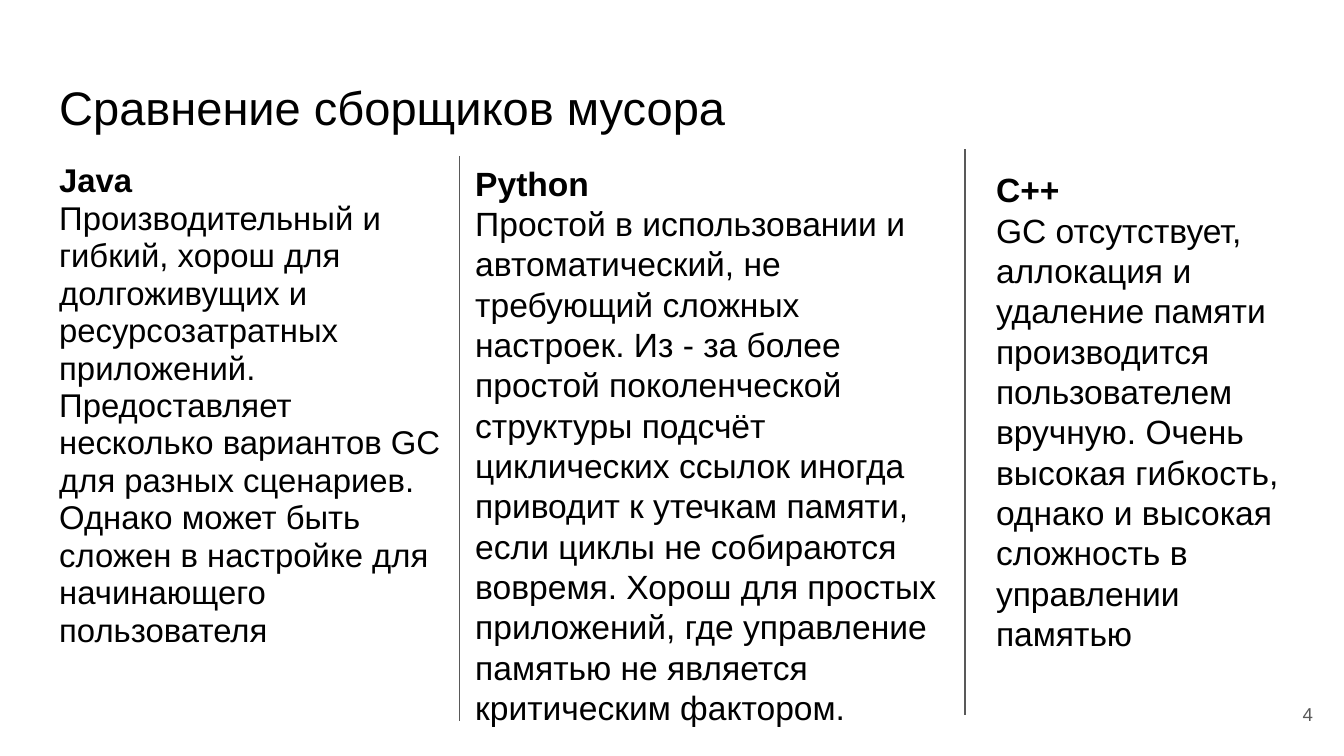
from dataclasses import dataclass

from lxml import etree
from pptx import Presentation
from pptx.dml.color import RGBColor
from pptx.enum.shapes import MSO_CONNECTOR
from pptx.enum.text import MSO_ANCHOR, MSO_AUTO_SIZE, PP_ALIGN
from pptx.oxml.ns import qn
from pptx.util import Pt

TOP, MIDDLE = MSO_ANCHOR.TOP, MSO_ANCHOR.MIDDLE
LEFT, RIGHT = PP_ALIGN.LEFT, PP_ALIGN.RIGHT
NO_FIT = MSO_AUTO_SIZE.NONE
STRAIGHT = MSO_CONNECTOR.STRAIGHT

FONT = "Arial"
COLORS = {"text": "000000", "muted": "595959"}
INSET = 7.2


@dataclass
class Box:
    left: float
    top: float
    width: float
    height: float


@dataclass
class Column:
    box: Box
    name: str
    body: str
    size: float = 18
    spacing: float = 1.0
    split: bool = False  # name in a paragraph of its own
    main: bool = False  # uses the body placeholder


@dataclass
class Rule:
    x: float
    top: float
    height: float = 303


COLUMNS = [
    Column(
        Box(24.5, 80, 223, 318), "Java",
        "Производительный и гибкий, хорош для долгоживущих и ресурсозатратных "
        "приложений. Предоставляет несколько вариантов GC для разных сценариев. "
        "Однако может быть сложен в настройке для начинающего пользователя",
        size=17.6, spacing=0.95, main=True,
    ),
    Column(
        Box(247.5, 80, 269.5, 318), "Python",
        "Простой в использовании и автоматический, не требующий сложных настроек. "
        "Из - за более простой поколенческой структуры подсчёт циклических ссылок "
        "иногда приводит к утечкам памяти, если циклы не собираются вовремя. "
        "Хорош для простых приложений, где управление памятью не является "
        "критическим фактором.",
        split=True,
    ),
    Column(
        Box(526.5, 83.5, 184.5, 314.5), "С++",
        "GC отсутствует, аллокация и удаление памяти производится пользователем "
        "вручную. Очень высокая гибкость, однако и высокая сложность в управлении "
        "памятью",
    ),
]
RULES = [Rule(246.25, 83.5), Rule(517, 80)]


def place(shape, box: Box, anchor=TOP):
    """Move the shape, set up its text frame and return the frame."""
    shape.left, shape.top = Pt(box.left), Pt(box.top)
    shape.width, shape.height = Pt(box.width), Pt(box.height)
    frame = shape.text_frame
    frame.word_wrap = True
    frame.auto_size = NO_FIT
    frame.vertical_anchor = anchor
    frame.margin_left = frame.margin_right = Pt(INSET)
    frame.margin_top = frame.margin_bottom = Pt(INSET)
    return frame


def style(para, size: float, color: str = "text", align=LEFT, spacing: float = 1.0):
    para.alignment = align
    para.line_spacing = spacing
    para.space_before = para.space_after = Pt(0)
    para.font.name = FONT
    para.font.size = Pt(size)
    para.font.color.rgb = RGBColor.from_string(COLORS[color])


def add_run(para, text: str, bold: bool):
    run = para.add_run()
    run.text = text
    run.font.bold = bold


def no_bullet(para):
    props = para._p.get_or_add_pPr()
    props.set("marL", "0")
    props.set("indent", "0")
    etree.SubElement(props, qn("a:buNone"))


def add_column(slide, col: Column):
    shape = slide.placeholders[1] if col.main else slide.shapes.add_textbox(0, 0, 0, 0)
    frame = place(shape, col.box)
    para = frame.paragraphs[0]
    if col.main:
        no_bullet(para)
    style(para, col.size, spacing=col.spacing)
    add_run(para, col.name, True)
    if col.split:
        para = frame.add_paragraph()
        style(para, col.size, spacing=col.spacing)
    else:
        para.add_line_break()
    add_run(para, col.body, False)


def add_rule(slide, rule: Rule):
    x, top = Pt(rule.x), Pt(rule.top)
    line = slide.shapes.add_connector(STRAIGHT, x, top, x, top + Pt(rule.height))
    line.line.color.rgb = RGBColor.from_string(COLORS["muted"])
    line.line.width = Pt(0.75)
    etree.SubElement(line._element.spPr, qn("a:effectLst"))


def main():
    deck = Presentation()
    deck.slide_width, deck.slide_height = Pt(720), Pt(405)
    slide = deck.slides.add_slide(deck.slide_layouts[1])

    title = place(slide.shapes.title, Box(24.5, 35, 671, 45))
    title.text = "Сравнение сборщиков мусора"
    style(title.paragraphs[0], 25.2)

    for col in COLUMNS:
        add_column(slide, col)
    for rule in RULES:
        add_rule(slide, rule)

    number = place(slide.shapes.add_textbox(0, 0, 0, 0), Box(667.5, 367, 43, 31), MIDDLE)
    number.text = "4"
    style(number.paragraphs[0], 10, "muted", RIGHT)

    deck.save("out.pptx")


if __name__ == "__main__":
    main()
